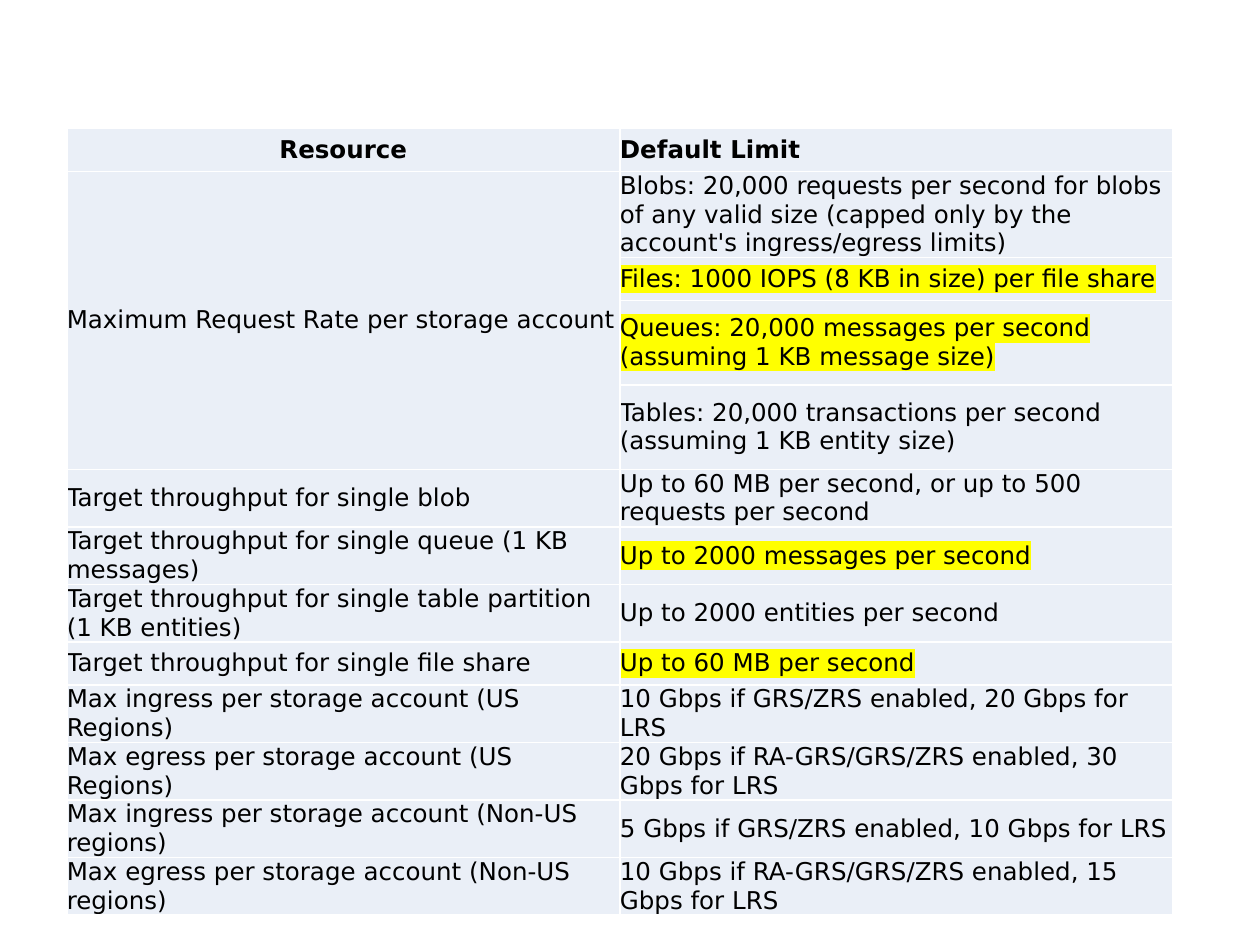
from dataclasses import dataclass

from lxml import etree
from pptx import Presentation
from pptx.dml.color import RGBColor
from pptx.enum.text import MSO_ANCHOR, PP_ALIGN
from pptx.oxml.ns import qn
from pptx.util import Inches, Pt

MIDDLE = MSO_ANCHOR.MIDDLE
LEFT, CENTER = PP_ALIGN.LEFT, PP_ALIGN.CENTER
BLANK_LAYOUT = 6


@dataclass(frozen=True)
class Theme:
    font: str = "DejaVu Sans"
    size: int = 14
    text: str = "000000"
    cell: str = "EAEFF7"
    border: str = "FFFFFF"
    border_width: int = 1
    highlight: str = "FFFF00"


THEME = Theme()

# Table grid, in inches
TABLE_LEFT, TABLE_TOP = 0.53, 1.02
COLUMN_WIDTH, COLUMN_COUNT = 4.39, 2
SINGLE, MEDIUM, DOUBLE = 0.34, 0.45, 0.67
REQUEST_RATE_ROWS = (1, 4)

# Row height, resource, limit, whether the limit is highlighted
LIMITS = [
    (SINGLE, "Resource", "Default Limit", False),
    (DOUBLE, "Maximum Request Rate per storage account",
     "Blobs: 20,000 requests per second for blobs of any valid size "
     "(capped only by the account's ingress/egress limits)", False),
    (SINGLE, "", "Files: 1000 IOPS (8 KB in size) per file share", True),
    (DOUBLE, "", "Queues: 20,000 messages per second (assuming 1 KB message size)", True),
    (DOUBLE, "", "Tables: 20,000 transactions per second (assuming 1 KB entity size)", False),
    (MEDIUM, "Target throughput for single blob",
     "Up to 60 MB per second, or up to 500 requests per second", False),
    (SINGLE, "Target throughput for single queue (1 KB messages)",
     "Up to 2000 messages per second", True),
    (SINGLE, "Target throughput for single table partition (1 KB entities)",
     "Up to 2000 entities per second", False),
    (SINGLE, "Target throughput for single file share", "Up to 60 MB per second", True),
    (SINGLE, "Max ingress per storage account (US Regions)",
     "10 Gbps if GRS/ZRS enabled, 20 Gbps for LRS", False),
    (SINGLE, "Max egress per storage account (US Regions)",
     "20 Gbps if RA-GRS/GRS/ZRS enabled, 30 Gbps for LRS", False),
    (SINGLE, "Max ingress per storage account (Non-US regions)",
     "5 Gbps if GRS/ZRS enabled, 10 Gbps for LRS", False),
    (SINGLE, "Max egress per storage account (Non-US regions)",
     "10 Gbps if RA-GRS/GRS/ZRS enabled, 15 Gbps for LRS", False),
]


def set_attributes(target, values):
    for name, value in values.items():
        setattr(target, name, value)


def add_solid_color(parent, tag, color):
    element = etree.Element(qn(tag))
    etree.SubElement(element, qn("a:srgbClr"), val=color)
    parent.append(element)


def set_borders(cell):
    properties = cell._tc.get_or_add_tcPr()
    for position, side in enumerate(("a:lnL", "a:lnR", "a:lnT", "a:lnB")):
        line = etree.Element(qn(side), w=str(Pt(THEME.border_width)))
        add_solid_color(line, "a:solidFill", THEME.border)
        properties.insert(position, line)


def highlight_span(span):
    mark = etree.Element(qn("a:highlight"))
    etree.SubElement(mark, qn("a:srgbClr"), val=THEME.highlight)
    span._r.get_or_add_rPr().find(qn("a:latin")).addprevious(mark)


def format_cell(cell):
    set_attributes(cell, {
        "margin_left": 0, "margin_right": 0, "margin_top": 0, "margin_bottom": 0,
        "vertical_anchor": MIDDLE,
    })
    cell.fill.solid()
    cell.fill.fore_color.rgb = RGBColor.from_string(THEME.cell)
    set_borders(cell)


def write_cell(cell, text, bold=False, align=LEFT, highlighted=False):
    para = cell.text_frame.paragraphs[0]
    para.alignment = align
    span = para.add_run()
    span.text = text
    set_attributes(span.font, {"name": THEME.font, "size": Pt(THEME.size), "bold": bold})
    span.font.color.rgb = RGBColor.from_string(THEME.text)
    if highlighted:
        highlight_span(span)


def add_limits_table(page):
    heights = [row[0] for row in LIMITS]
    table = page.shapes.add_table(
        len(LIMITS), COLUMN_COUNT, Inches(TABLE_LEFT), Inches(TABLE_TOP),
        Inches(COLUMN_WIDTH * COLUMN_COUNT), Inches(sum(heights))).table
    set_attributes(table, {"first_row": False, "horz_banding": False})
    for column in table.columns:
        column.width = Inches(COLUMN_WIDTH)

    for index, (height, resource, limit, highlighted) in enumerate(LIMITS):
        table.rows[index].height = Inches(height)
        header = index == 0
        for cell in table.rows[index].cells:
            format_cell(cell)
        if resource:
            write_cell(table.cell(index, 0), resource, header, CENTER if header else LEFT)
        write_cell(table.cell(index, 1), limit, header, highlighted=highlighted)

    # One resource label covers all four request rates
    first, last = REQUEST_RATE_ROWS
    table.cell(first, 0).merge(table.cell(last, 0))


def main():
    deck = Presentation()
    set_attributes(deck, {"slide_width": Inches(10), "slide_height": Inches(7.5)})
    page = deck.slides.add_slide(deck.slide_layouts[BLANK_LAYOUT])
    add_limits_table(page)
    deck.save("out.pptx")


if __name__ == "__main__":
    main()
